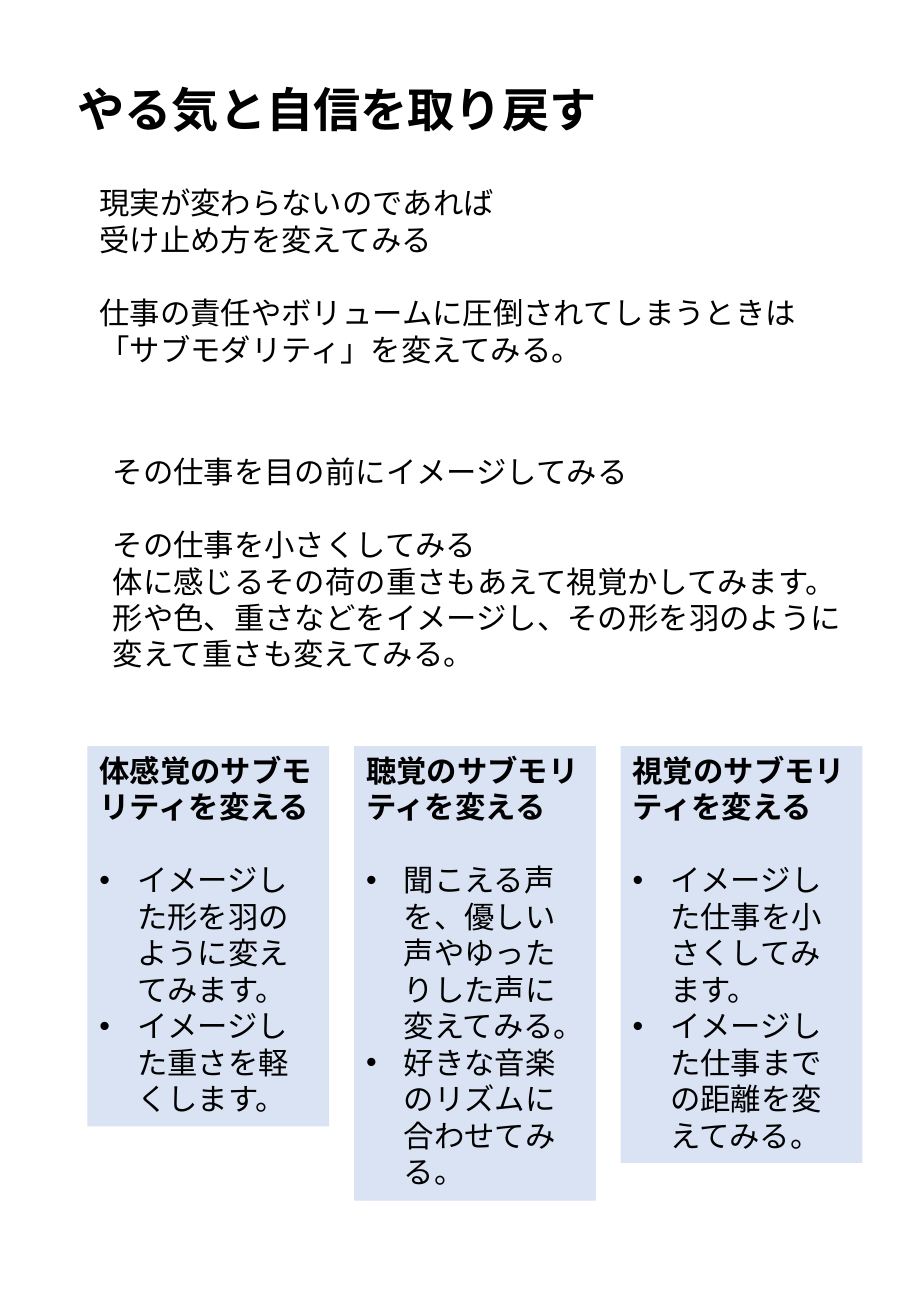
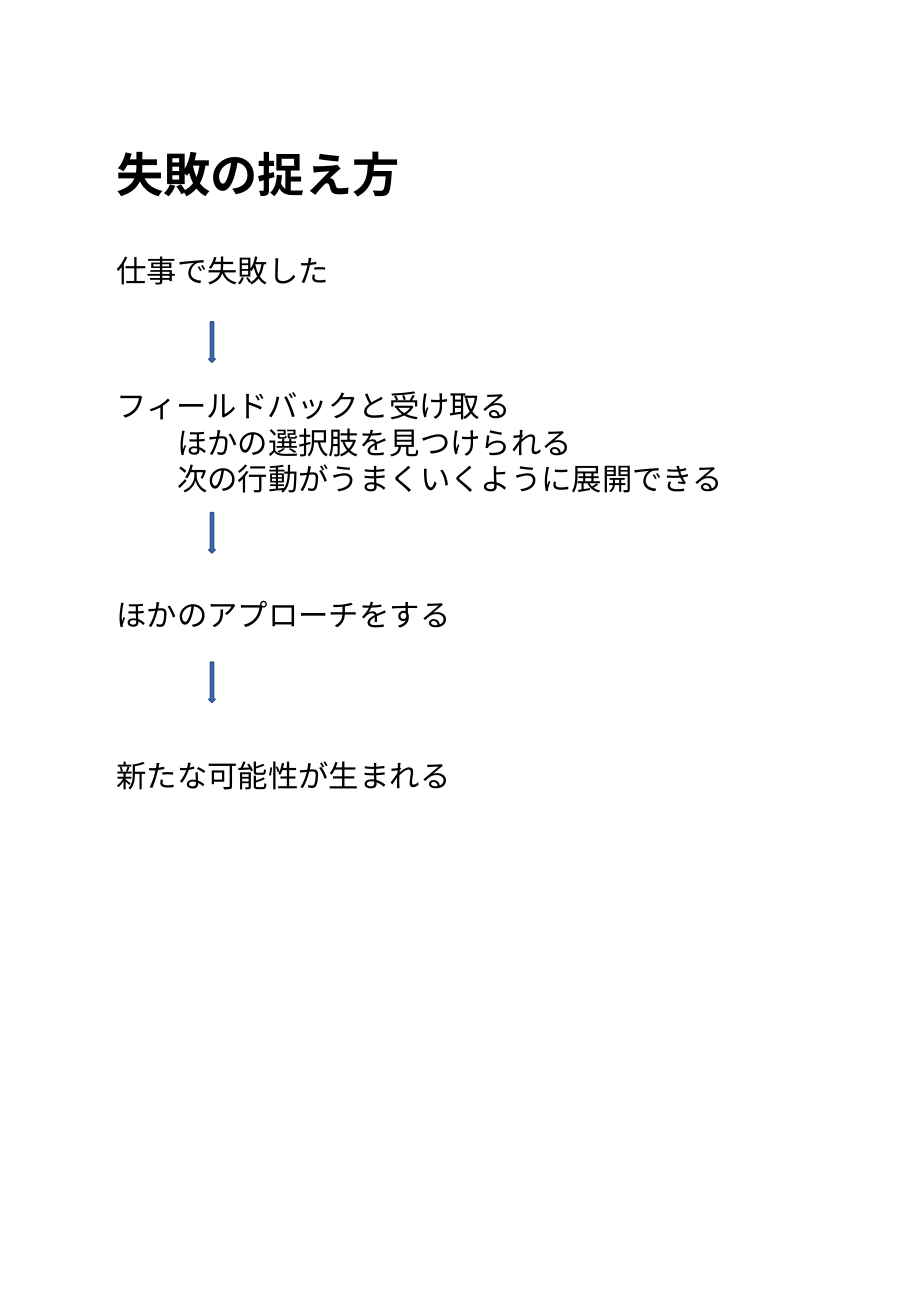
from pptx import Presentation
from pptx.dml.color import RGBColor
from pptx.enum.lang import MSO_LANGUAGE_ID
from pptx.enum.shapes import MSO_SHAPE
from pptx.enum.text import MSO_ANCHOR, PP_ALIGN
from pptx.oxml.ns import qn
from pptx.util import Inches, Pt
from lxml import etree

RECTANGLE = MSO_SHAPE.RECTANGLE
DOWN_ARROW = MSO_SHAPE.DOWN_ARROW
TOP = MSO_ANCHOR.TOP
LEFT = PP_ALIGN.LEFT
JAPANESE = MSO_LANGUAGE_ID.JAPANESE

COLORS = {"text": "000000", "card": "DAE3F3", "arrow": "4472C4", "arrow_edge": "325491"}
FONT = "Calibri"
TITLE_SIZE, BODY_SIZE = 28, 18
LINE_GAP = 21.7  # points, one line of body text

prs = Presentation()
prs.slide_width, prs.slide_height = Inches(7.5), Inches(10.83)
blank = prs.slide_layouts[6]


def write(frame, lines, size=BODY_SIZE, bold=False):
    """Fill a frame; each line is its text, optionally with style words."""
    frame.word_wrap = True
    frame.vertical_anchor = TOP
    for i, line in enumerate(lines):
        text, *styles = (line,) if isinstance(line, str) else line
        paragraph = frame.paragraphs[0] if i == 0 else frame.add_paragraph()
        paragraph.alignment = LEFT
        if "gap" in styles:
            paragraph.space_before = Pt(LINE_GAP)
        properties = paragraph._p.get_or_add_pPr()
        if "indent" in styles:
            properties.set("marL", str(Inches(0.5)))
        if "bullet" in styles:
            properties.set("marL", str(Inches(0.31)))
            properties.set("indent", str(-Inches(0.31)))
            etree.SubElement(properties, qn("a:buFont")).set("typeface", "Arial")
            etree.SubElement(properties, qn("a:buChar")).set("char", "•")
        run = paragraph.add_run()
        run.text = text
        run.font.name = FONT
        run.font.size = Pt(size)
        run.font.bold = bold or "bold" in styles
        run.font.language_id = JAPANESE
        run.font.color.rgb = RGBColor.from_string(COLORS["text"])


def add_text(slide, left, top, width, height, lines, **style):
    box = slide.shapes.add_textbox(Inches(left), Inches(top), Inches(width), Inches(height))
    write(box.text_frame, lines, **style)


# Slide 1: regaining motivation
motivation = prs.slides.add_slide(blank)
add_text(motivation, 0.54, 0.61, 4.52, 0.57, ["やる気と自信を取り戻す"], size=TITLE_SIZE, bold=True)
add_text(motivation, 0.72, 1.47, 6.38, 1.62, [
    "現実が変わらないのであれば",
    "受け止め方を変えてみる",
    ("仕事の責任やボリュームに圧倒されてしまうときは「サブモダリティ」を変えてみる。", "gap"),
])
add_text(motivation, 0.83, 3.68, 6.26, 1.92, [
    "その仕事を目の前にイメージしてみる",
    ("その仕事を小さくしてみる", "gap"),
    "体に感じるその荷の重さもあえて視覚かしてみます。",
    "形や色、重さなどをイメージし、その形を羽のように変えて重さも変えてみる。",
])

# Three cards, one per sense
senses = [
    ("体感覚", 3.13, "イメージした形を羽のように変えてみます。", "イメージした重さを軽くします。"),
    ("聴覚", 3.74, "聞こえる声を、優しい声やゆったりした声に変えてみる。",
     "好きな音楽のリズムに合わせてみる。"),
    ("視覚", 3.43, "イメージした仕事を小さくしてみます。", "イメージした仕事までの距離を変えてみる。"),
]
for column, (sense, height, first_tip, second_tip) in enumerate(senses):
    card = motivation.shapes.add_shape(
        RECTANGLE, Inches(0.72 + column * 2.195), Inches(6.14), Inches(1.99), Inches(height))
    card.shadow.inherit = False
    card.fill.solid()
    card.fill.fore_color.rgb = RGBColor.from_string(COLORS["card"])
    card.line.fill.background()
    write(card.text_frame, [
        (sense + "のサブモリティを変える", "bold"),
        (first_tip, "bullet", "gap"),
        (second_tip, "bullet"),
    ])

# Slide 2: how to see failure
failure = prs.slides.add_slide(blank)
add_text(failure, 0.86, 1.15, 2.56, 0.57, ["失敗の捉え方"], size=TITLE_SIZE, bold=True)
steps = [
    (2.03, 1.97, 0.4, ["仕事で失敗した"]),
    (3.14, 5.25, 1.01, [
        "フィールドバックと受け取る",
        ("ほかの選択肢を見つけられる", "indent"),
        ("次の行動がうまくいくように展開できる", "indent"),
    ]),
    (4.86, 2.98, 0.4, ["ほかのアプローチをする"]),
    (6.18, 2.98, 0.4, ["新たな可能性が生まれる"]),
]
for top, width, height, lines in steps:
    add_text(failure, 0.86, top, width, height, lines)

# Arrows between the steps
for top in (2.65, 4.22, 5.45):
    arrow = failure.shapes.add_shape(
        DOWN_ARROW, Inches(1.72), Inches(top), Inches(0.05), Inches(0.33))
    arrow.shadow.inherit = False
    arrow.fill.solid()
    arrow.fill.fore_color.rgb = RGBColor.from_string(COLORS["arrow"])
    arrow.line.color.rgb = RGBColor.from_string(COLORS["arrow_edge"])
    arrow.line.width = Pt(1)

prs.save("out.pptx")
